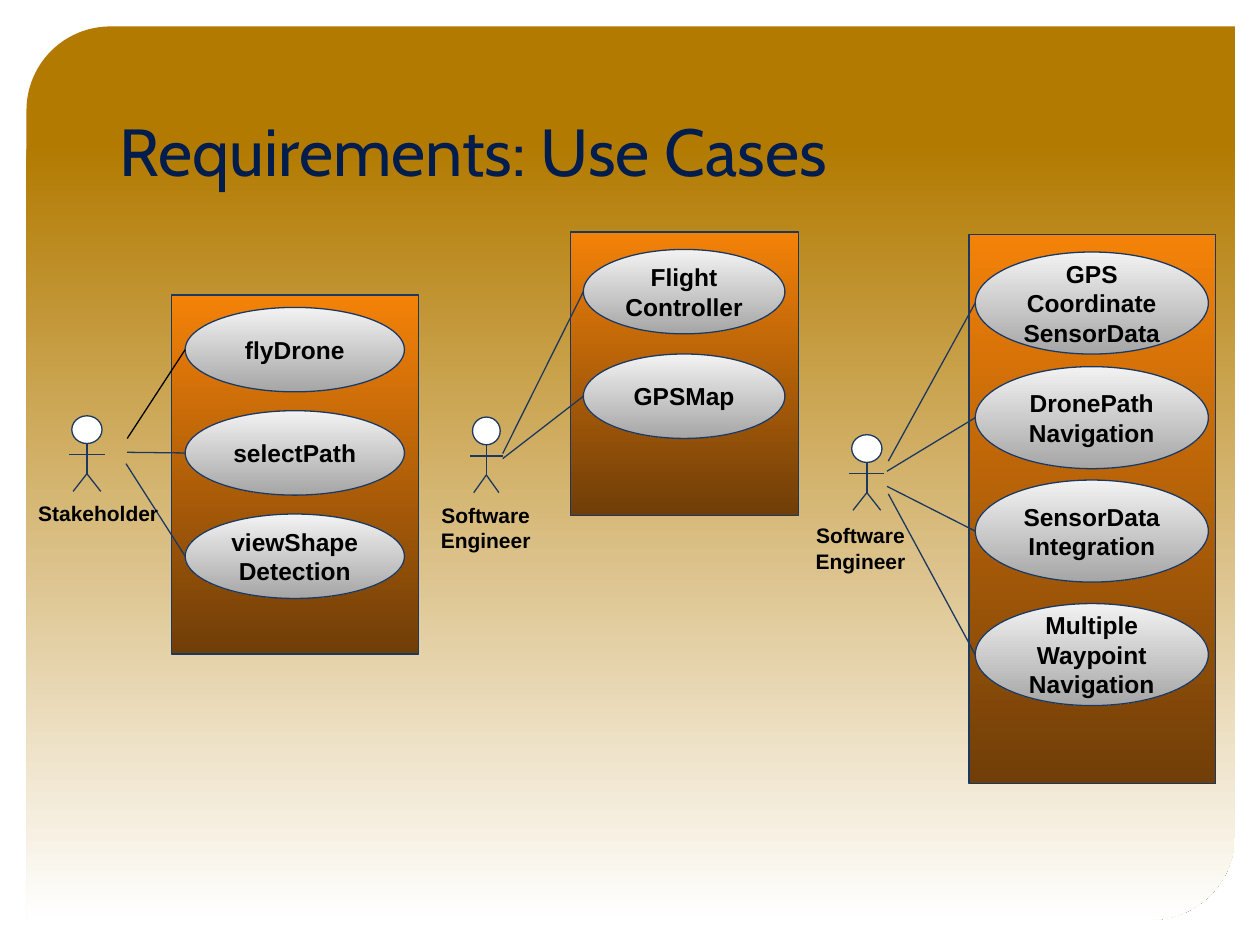
from dataclasses import dataclass

from lxml.etree import SubElement
from pptx import Presentation
from pptx.dml.color import RGBColor
from pptx.enum.shapes import MSO_CONNECTOR, MSO_SHAPE
from pptx.enum.text import MSO_ANCHOR, PP_ALIGN
from pptx.oxml.ns import qn
from pptx.util import Inches, Pt

NAVY, BLACK, WHITE = "1B3861", "000000", "FFFFFF"


@dataclass
class Case:
    text: str
    top: float
    end: tuple[float, float]  # where its line meets the actor
    color: str = NAVY


@dataclass
class System:
    box: tuple[float, float, float, float]
    left: float  # ovals share left, width and height
    width: float
    height: float
    cases: list[Case]


@dataclass
class Actor:
    mid: float
    top: float
    width: float
    name: str
    label: tuple[float, float, float, float]


SYSTEMS = [
    System((1.36, 2.34, 1.96, 2.85), 1.47, 1.74, 0.67, [
        Case("flyDrone", 2.44, (1.01, 3.48), BLACK),
        Case("selectPath", 3.26, (1.01, 3.59)),
        Case("viewShape\nDetection", 4.08, (1.0, 3.68)),
    ]),
    System((4.53, 1.84, 1.81, 2.25), 4.63, 1.6, 0.67, [
        Case("Flight\nController", 1.98, (3.99, 3.6)),
        Case("GPSMap", 2.81, (3.99, 3.64)),
    ]),
    System((7.69, 1.86, 1.96, 4.36), 7.74, 1.85, 0.81, [
        Case("GPS\nCoordinate\vSensorData", 2.0, (7.05, 3.66)),
        Case("DronePath\vNavigation", 2.91, (7.04, 3.74)),
        Case("SensorData\vIntegration", 3.81, (7.04, 3.86)),
        Case("Multiple\nWaypoint\nNavigation", 4.79, (7.05, 3.92)),
    ]),
]
ACTORS = [
    Actor(0.69, 3.3, 0.24, "Stakeholder", (0.2, 3.87, 1.16, 0.36)),
    Actor(3.86, 3.31, 0.22, "Software\nEngineer", (3.32, 3.89, 1.07, 0.61)),
    Actor(6.88, 3.45, 0.24, "Software\nEngineer", (6.25, 4.05, 1.16, 0.61)),
]


def rgb(code: str) -> RGBColor:
    return RGBColor.from_string(code)


def add_form(slide, kind, box, colors, line=NAVY, start=0.0):
    """Draw a shape with a plain fill or a gradient from top to bottom."""
    form = slide.shapes.add_shape(kind, *map(Inches, box))
    form.shadow.inherit = False
    if len(colors) == 1:
        form.fill.solid()
        form.fill.fore_color.rgb = rgb(colors[0])
    else:
        form.fill.gradient()
        form.fill.gradient_angle = 270
        stops = form.fill.gradient_stops
        for stop, code, place in zip(stops, colors, (start, 1.0)):
            stop.color.rgb = rgb(code)
            stop.position = place
    if line:
        form.line.color.rgb = rgb(line)
        form.line.width = Pt(0.75)
    else:
        form.line.fill.background()
    return form


def add_line(slide, start, end, color=NAVY) -> None:
    line = slide.shapes.add_connector(
        MSO_CONNECTOR.STRAIGHT, *map(Inches, (*start, *end)))
    line.line.color.rgb = rgb(color)
    line.line.width = Pt(0.75)
    SubElement(line.element.spPr, qn("a:effectLst"))


def set_text(form, text: str, size: int, anchor) -> None:
    frame = form.text_frame
    frame.text = text
    frame.word_wrap = False
    frame.vertical_anchor = anchor
    frame.margin_left = frame.margin_right = Inches(0.1)
    frame.margin_top = frame.margin_bottom = Inches(0.1)
    for para in frame.paragraphs:
        para.alignment = PP_ALIGN.CENTER
        para.font.name = "Arial"
        para.font.size = Pt(size)
        para.font.bold = True
        para.font.color.rgb = rgb(BLACK)


def add_system(slide, system: System) -> None:
    add_form(slide, MSO_SHAPE.RECTANGLE, system.box, ("F48208", "703E08"))
    for case in system.cases:
        box = (system.left, case.top, system.width, system.height)
        oval = add_form(slide, MSO_SHAPE.OVAL, box, ("F2F2F2", "A6A6A6"))
        set_text(oval, case.text, 14, MSO_ANCHOR.MIDDLE)
        side = (system.left, case.top + system.height / 2)
        add_line(slide, side, case.end, case.color)


def add_actor(slide, actor: Actor) -> None:
    mid, top, half = actor.mid, actor.top, actor.width / 2
    neck, arm, hip, foot = (top + gap for gap in (0.22, 0.31, 0.46, 0.6))
    head = (mid - half, top, actor.width, 0.22)
    add_form(slide, MSO_SHAPE.FLOWCHART_CONNECTOR, head, (WHITE,))
    add_line(slide, (mid, neck), (mid, hip))
    for side in (-1, 1):
        add_line(slide, (mid, hip), (mid + side * (half - 0.01), foot))
    add_line(slide, (mid - half - 0.02, arm), (mid + half + 0.02, arm))
    label = slide.shapes.add_textbox(*map(Inches, actor.label))
    set_text(label, actor.name, 12, MSO_ANCHOR.TOP)


def main() -> None:
    deck = Presentation()
    deck.slide_width, deck.slide_height = Inches(10), Inches(7.5)
    slide = deck.slides.add_slide(deck.slide_layouts[5])

    # Title
    title = slide.shapes.title
    title.left, title.top = Inches(0.85), Inches(0.42)
    title.width, title.height = Inches(8.29), Inches(1.14)
    title.text_frame.text = "Requirements: Use Cases"
    title.text_frame.vertical_anchor = MSO_ANCHOR.BOTTOM
    para = title.text_frame.paragraphs[0]
    para.alignment = PP_ALIGN.LEFT
    para.font.name = "Cabin"
    para.font.size = Pt(38)
    para.font.color.rgb = rgb("001D4D")

    # Rounded panel behind the title
    panel = add_form(slide, MSO_SHAPE.ROUND_2_DIAG_RECTANGLE,
                     (0.21, 0.21, 9.59, 7.09), ("B27A00", WHITE), None, 0.13)
    panel.adjustments[0] = 0.094
    panel.adjustments[1] = 0
    title.element.addprevious(panel.element)

    # Systems with their use cases, then the actors
    for system in SYSTEMS:
        add_system(slide, system)
    for actor in ACTORS:
        add_actor(slide, actor)
    deck.save("out.pptx")


if __name__ == "__main__":
    main()
